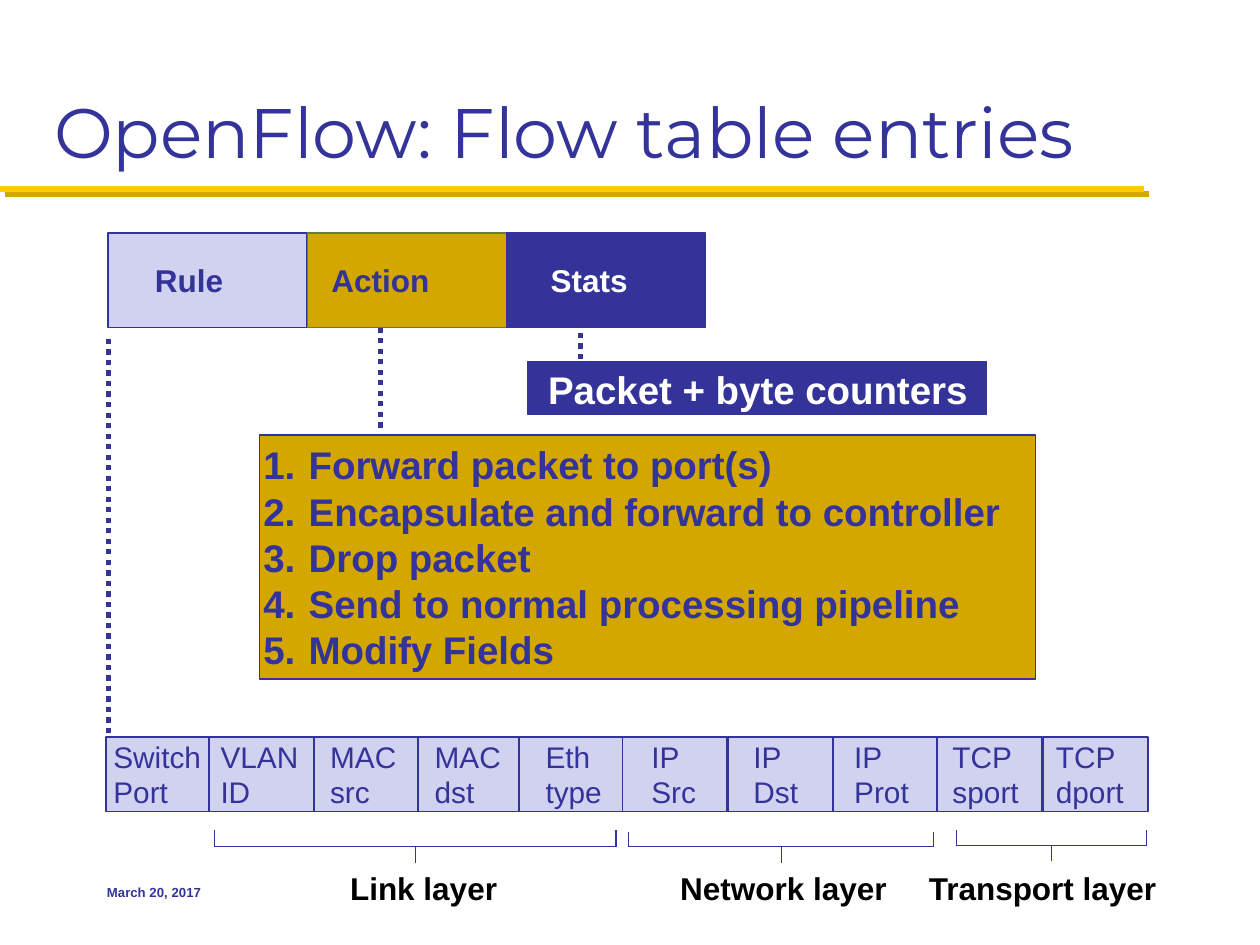
from dataclasses import dataclass

from lxml.etree import SubElement
from pptx import Presentation
from pptx.dml.color import RGBColor as RGB
from pptx.enum.dml import MSO_LINE as Dash
from pptx.enum.shapes import MSO_CONNECTOR as Conn, MSO_SHAPE as Shape
from pptx.enum.text import MSO_ANCHOR as Anchor, MSO_AUTO_SIZE as Fit, PP_ALIGN as Align
from pptx.oxml.ns import qn
from pptx.util import Inches, Pt


@dataclass(frozen=True)
class Theme:
    navy: str = "333399"
    pale: str = "D1D1F0"
    gold: str = "D3A600"
    yellow: str = "FFCB05"
    olive: str = "697D3A"
    white: str = "FFFFFF"
    black: str = "000000"
    body: str = "Arial"
    heading: str = "Montserrat"
    title: float = 40
    action: float = 22
    label: float = 18
    field: float = 17
    date: float = 7.5


T = Theme()
prs = Presentation()
prs.slide_width, prs.slide_height = Inches(10), Inches(7.5)
COL, ROW = prs.slide_width / 100, prs.slide_height / 75  # grid of 100 x 75
slide = prs.slides.add_slide(prs.slide_layouts[5])


def add_box(left, top, width, height, lines=(), size=T.label, color=T.navy, bold=True,
            fill=None, edge=T.navy, inset=(0, 0), anchor=Anchor.MIDDLE, fit=Fit.NONE):
    """Filled rectangle, or plain text box when there is no fill; in grid units."""
    at = int(left * COL), int(top * ROW), int(width * COL), int(height * ROW)
    if fill:
        sp = slide.shapes.add_shape(Shape.RECTANGLE, *at)
        sp.shadow.inherit = False
        sp.fill.solid()
        sp.fill.fore_color.rgb = RGB.from_string(fill)
        sp.line.color.rgb = RGB.from_string(edge)
        sp.line.width = Pt(1)
    else:
        sp = slide.shapes.add_textbox(*at)
    tf = sp.text_frame
    tf.word_wrap, tf.auto_size, tf.vertical_anchor = bool(fill), fit, anchor
    tf.margin_left = tf.margin_right = int(inset[0] * COL)
    tf.margin_top = tf.margin_bottom = int(inset[1] * ROW)
    for i, line in enumerate(lines):
        p = tf.add_paragraph() if i else tf.paragraphs[0]
        p.alignment = Align.LEFT
        r = p.add_run()
        r.text = line
        r.font.name, r.font.size, r.font.bold = T.body, Pt(size), bold
        r.font.color.rgb = RGB.from_string(color)
    return sp


def add_line(x1, y1, x2, y2, width, color=T.navy, dash=None, parent=slide):
    """Straight line in grid units; returns its effect list."""
    ln = parent.shapes.add_connector(
        Conn.STRAIGHT, int(x1 * COL), int(y1 * ROW), int(x2 * COL), int(y2 * ROW))
    ln.line.color.rgb = RGB.from_string(color)
    ln.line.width = Pt(width)
    if dash:
        ln.line.dash_style = dash
    return SubElement(ln._element.spPr, qn("a:effectLst"))


# Gold rule with its hard shadow
effects = add_line(0, 15, 90.8, 15, 3.5, T.yellow)
shadow = SubElement(effects, qn("a:outerShdw"), dist=str(Pt(4.2)), dir="2700000",
                    algn="ctr", rotWithShape="0")
SubElement(shadow, qn("a:srgbClr"), val=T.gold)

# Title
title = slide.shapes.title
title.left, title.top = int(3.3 * COL), int(1.7 * ROW)
title.width, title.height = int(93.3 * COL), int(12.5 * ROW)
tf = title.text_frame
tf.auto_size, tf.vertical_anchor = Fit.NONE, Anchor.BOTTOM
p = tf.paragraphs[0]
p.alignment = Align.LEFT
r = p.add_run()
r.text = "OpenFlow: Flow table entries"
r.font.name, r.font.size = T.heading, Pt(T.title)
r.font.color.rgb = RGB.from_string(T.navy)

# Parts of a flow entry: name, fill, edge, text colour, text left, text width
parts = [
    ("Rule", T.pale, T.navy, T.navy, 12.3, 5.5),
    ("Action", T.gold, T.olive, T.navy, 26.3, 7.9),
    ("Stats", T.navy, T.navy, T.white, 43.7, 6.2),
]
for i, (name, fill, edge, color, left, width) in enumerate(parts):
    add_box(8.6 + 15.8 * i, 18.5, 15.8, 7.5, fill=fill, edge=edge)
    add_box(left, 20.7, width, 3, [name], color=color, fit=Fit.SHAPE_TO_FIT_TEXT)

# Header fields that a rule matches: box left, text left, text width, words
fields = [
    (8.4, 9, 7, "Switch Port"), (16.6, 17.5, 6.5, "VLAN ID"),
    (24.9, 26.2, 5.4, "MAC src"), (33.2, 34.5, 5.4, "MAC dst"),
    (41.2, 43.3, 4.5, "Eth type"), (49.4, 51.7, 3.6, "IP Src"),
    (57.8, 59.8, 3.6, "IP Dst"), (66.1, 67.8, 4.4, "IP Prot"),
    (74.4, 75.6, 5.3, "TCP sport"), (82.8, 83.8, 5.5, "TCP dport"),
]
for left, text_left, width, words in fields:
    add_box(left, 58.5, 8.3, 5.9, fill=T.pale)
    add_box(text_left, 58.6, width, 5.7, words.split(), T.field, bold=False,
            fit=Fit.SHAPE_TO_FIT_TEXT)

# Numbered actions
actions = add_box(20.6, 34.5, 61.6, 19.4, [
    "Forward packet to port(s)",
    "Encapsulate and forward to controller",
    "Drop packet",
    "Send to normal processing pipeline",
    "Modify Fields",
], T.action, fill=T.gold)
for p in actions.text_frame.paragraphs:
    pPr = p._p.get_or_add_pPr()
    pPr.set("marL", str(int(3.9 * COL)))
    pPr.set("indent", str(int(-3.6 * COL)))
    SubElement(pPr, qn("a:buFont"), typeface=T.body)
    SubElement(pPr, qn("a:buAutoNum"), type="arabicPeriod")

# Counters
add_box(41.9, 28.7, 36.4, 4.2, fill=T.navy)
add_box(43.5, 29, 33.8, 3.7, ["Packet + byte counters"], T.action, T.white,
        fit=Fit.SHAPE_TO_FIT_TEXT)

# Dotted leaders from each part to its detail
for x, start, end in [(8.6, 26.9, 58.5), (30.2, 26, 34.3), (46.1, 28.5, 26)]:
    add_line(x, start, x, end, 3, dash=Dash.ROUND_DOT)

# Brackets: left, right, top of ends, bar, foot of stem
for left, right, top, bar, foot in [(17, 48.9, 65.9, 67.2, 68.5),
                                    (49.9, 74.1, 66, 67.2, 68.5),
                                    (75.9, 91, 65.9, 67.1, 68.3)]:
    bracket = slide.shapes.add_group_shape()
    middle = (left + right) / 2
    for ends in [(left, top, left, bar), (left, bar, right, bar),
                 (right, top, right, bar), (middle, bar, middle, foot)]:
        add_line(*ends, 0.75, parent=bracket)

# Layer names under the brackets
for left, width, name in [(26.8, 13.8, "Link layer"), (53, 18.6, "Network layer"),
                          (69.9, 25.7, "Transport layer")]:
    sp = add_box(left, 68.5, width, 4, [name], color=T.black, inset=(1, 0.5),
                 anchor=Anchor.TOP, fit=Fit.SHAPE_TO_FIT_TEXT)
sp.text_frame.word_wrap = True
sp.text_frame.paragraphs[0].alignment = Align.CENTER

# Date
sp = add_box(7.5, 68.3, 20.8, 5, ["March 20, 2017"], T.date, inset=(1, 0.5))
sp.text_frame.word_wrap = True

prs.save("out.pptx")
